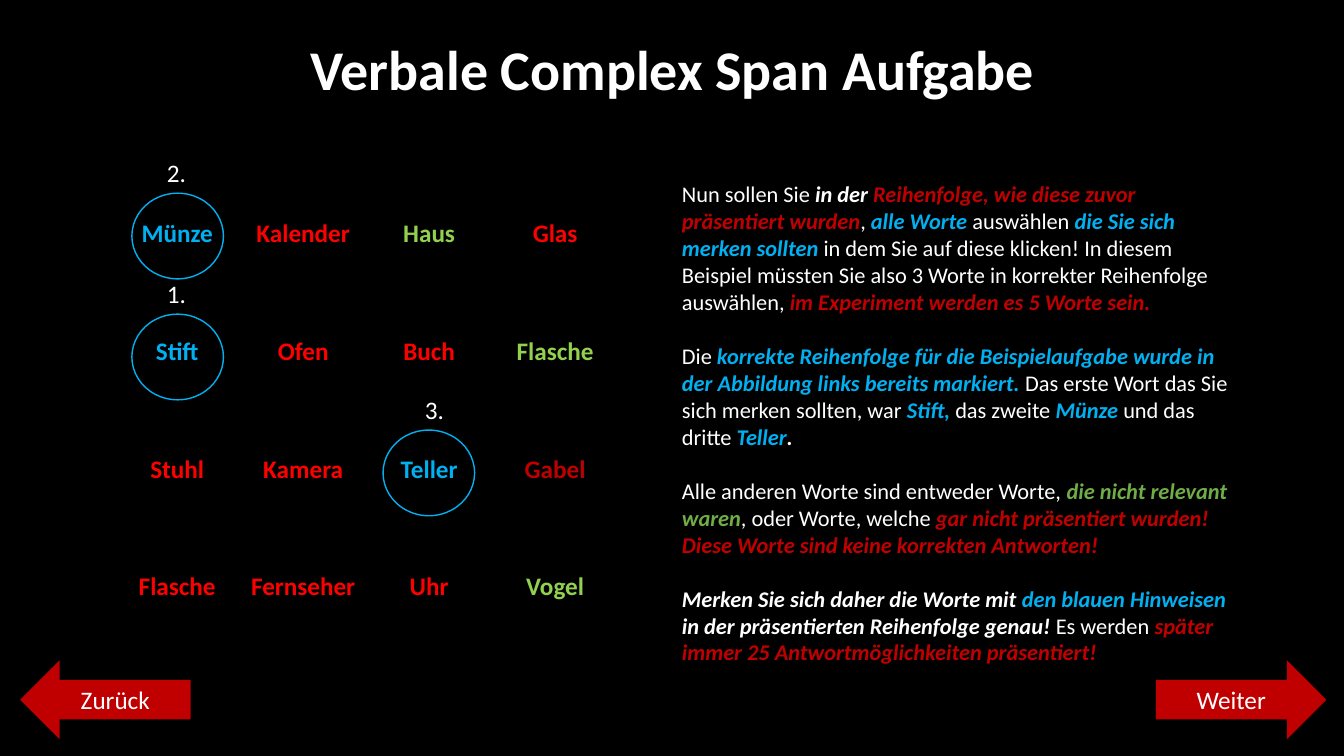
import pptx
import pptx.dml.color
import pptx.enum.shapes
import pptx.enum.text
import pptx.util

RGB = pptx.dml.color.RGBColor
SHAPE = pptx.enum.shapes.MSO_SHAPE
ALIGN = pptx.enum.text.PP_ALIGN
MIDDLE = pptx.enum.text.MSO_ANCHOR.MIDDLE

BLACK = RGB(0x00, 0x00, 0x00)
WHITE = RGB(0xFF, 0xFF, 0xFF)
BLUE = RGB(0x01, 0xB0, 0xF1)
SKY = RGB(0x00, 0xB0, 0xF0)
RED = RGB(0xFF, 0x00, 0x00)
DARK_RED = RGB(0xC0, 0x00, 0x00)
LIME = RGB(0x92, 0xD1, 0x4F)
GREEN = RGB(0x70, 0xAD, 0x47)
PLAIN_TABLE = "{2D5ABB26-0587-4C30-8999-92F81FD0307C}"  # no style, no grid

WORDS = [
    [("Münze", BLUE), ("Kalender", RED), ("Haus", LIME), ("Glas", RED)],
    [("Stift", BLUE), ("Ofen", RED), ("Buch", RED), ("Flasche", LIME)],
    [("Stuhl", RED), ("Kamera", RED), ("Teller", BLUE), ("Gabel", DARK_RED)],
    [("Flasche", RED), ("Fernseher", RED), ("Uhr", RED), ("Vogel", LIME)],
]

# Runs with a colour are bold italic, the others are plain white
INSTRUCTIONS = [
    [("Nun sollen Sie ",), ("in der ", WHITE),
     ("Reihenfolge, wie diese zuvor präsentiert wurden", DARK_RED), (", ",),
     ("alle Worte ", BLUE), ("auswählen ",), ("die Sie sich merken sollten", BLUE),
     (" in dem Sie auf diese klicken! In diesem Beispiel müssten Sie also "
      "3 Worte in korrekter Reihenfolge auswählen, ",),
     ("im Experiment werden es 5 Worte sein.", DARK_RED)],
    [("Die ",), ("korrekte Reihenfolge für die Beispielaufgabe wurde in der "
                 "Abbildung links bereits markiert. ", SKY),
     ("Das erste Wort das Sie sich merken sollten, war ",), ("Stift", BLUE),
     (", ", SKY), ("das zweite ",), ("Münze ", SKY), ("und das dritte ",),
     ("Teller", SKY), (".", WHITE)],
    [("Alle anderen Worte sind entweder Worte, ",),
     ("die nicht relevant waren", GREEN), (", oder Worte, welche ",),
     ("gar nicht präsentiert wurden! Diese Worte sind keine korrekten Antworten!",
      DARK_RED)],
    [("Merken Sie sich daher die Worte mit ", WHITE), ("den blauen ", SKY),
     ("Hinweisen", BLUE), (" in der präsentierten Reihenfolge genau! ", WHITE),
     ("Es werden ",),
     ("später immer 25 Antwortmöglichkeiten präsentiert!", DARK_RED)],
]


class Deck:
    """Style and current slide; lengths are units of a 160 x 90 grid."""
    font = "Calibri"
    cols, rows = 160, 90

    def __init__(self):
        self.prs = pptx.Presentation()
        self.prs.slide_width = pptx.util.Inches(13.333)
        self.prs.slide_height = pptx.util.Inches(7.5)
        self.s = self.prs.slides.add_slide(self.prs.slide_layouts[6])
        self.s.background.fill.solid()
        self.s.background.fill.fore_color.rgb = BLACK

    def box(self, x, y, w, h):
        dx = self.prs.slide_width / self.cols
        dy = self.prs.slide_height / self.rows
        return int(x * dx), int(y * dy), int(w * dx), int(h * dy)

    def style(self, p, size, color=WHITE, bold=False, align=ALIGN.CENTER):
        p.alignment = align
        p.font.name, p.font.size = self.font, pptx.util.Pt(size)
        p.font.color.rgb, p.font.bold = color, bold

    def text(self, text, at, size, wrap=True, **look):
        tf = self.s.shapes.add_textbox(*self.box(*at)).text_frame
        tf.word_wrap = wrap
        tf.text = text
        self.style(tf.paragraphs[0], size, **look)

    def rich_text(self, paragraphs, at, size, gap):
        tf = self.s.shapes.add_textbox(*self.box(*at)).text_frame
        tf.word_wrap = True
        for i, runs in enumerate(paragraphs):
            p = tf.add_paragraph() if i else tf.paragraphs[0]
            self.style(p, size, align=ALIGN.LEFT)
            p.space_before = pptx.util.Pt(gap if i else 0)
            for words, *emphasis in runs:
                r = p.add_run()
                r.text = words
                r.font.name, r.font.size = self.font, pptx.util.Pt(size)
                r.font.bold = r.font.italic = bool(emphasis)
                r.font.color.rgb = emphasis[0] if emphasis else WHITE

    def table(self, words, at, size):
        frame = self.s.shapes.add_table(len(words), len(words[0]), *self.box(*at))
        table = frame.table
        table.first_row = table.horz_banding = False
        table._tbl.tblPr[0].text = PLAIN_TABLE
        for i, row in enumerate(words):
            for j, (word, color) in enumerate(row):
                cell = table.cell(i, j)
                cell.fill.background()
                cell.vertical_anchor = MIDDLE
                cell.text = word
                self.style(cell.text_frame.paragraphs[0], size, color, bold=True)

    def ring(self, at):
        sp = self.s.shapes.add_shape(SHAPE.OVAL, *self.box(*at))
        sp.shadow.inherit = False
        sp.fill.background()
        sp.line.color.rgb, sp.line.width = BLUE, pptx.util.Pt(1)

    def button(self, text, kind, at, size):
        sp = self.s.shapes.add_shape(kind, *self.box(*at))
        sp.shadow.inherit = False
        sp.fill.solid()
        sp.fill.fore_color.rgb = DARK_RED
        sp.line.fill.background()
        sp.text_frame.text = text
        sp.text_frame.vertical_anchor = MIDDLE
        self.style(sp.text_frame.paragraphs[0], size)


def main():
    deck = Deck()

    # Title
    deck.text("Verbale Complex Span Aufgabe", (33.6, 3.5, 92.9, 9.2), 40,
              wrap=False, bold=True)

    # Word grid
    deck.table(WORDS, (13.6, 20.9, 60, 56), 18)

    # Rings around the answers, each with its number above
    for number, x, y, shift in [("1.", 15.7, 37.4, 3), ("2.", 15.7, 23, 3),
                                ("3.", 45.6, 51.2, 3.8)]:
        deck.ring((x, y, 10.9, 10.2))
        deck.text(number, (x + shift, y - 4.8, 4.9, 4.8), 18, align=ALIGN.LEFT)

    # Instructions
    deck.rich_text(INSTRUCTIONS, (80, 20.9, 69, 62.6), 16, gap=19.5)

    # Navigation
    deck.button("Zurück", SHAPE.LEFT_ARROW, (2.4, 78.6, 20.3, 9.4), 18)
    deck.button("Weiter", SHAPE.RIGHT_ARROW, (137.6, 78.6, 20.3, 9.4), 18)

    deck.prs.save("out.pptx")


if __name__ == "__main__":
    main()
